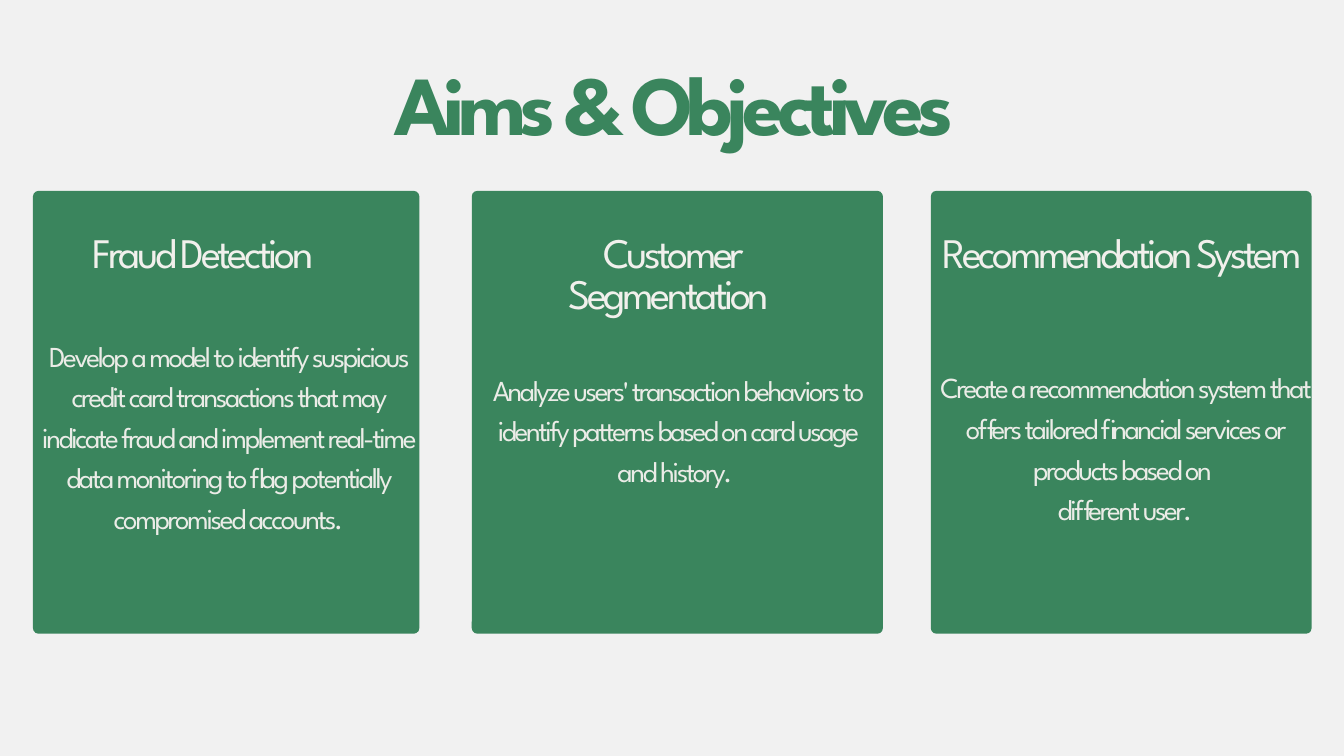
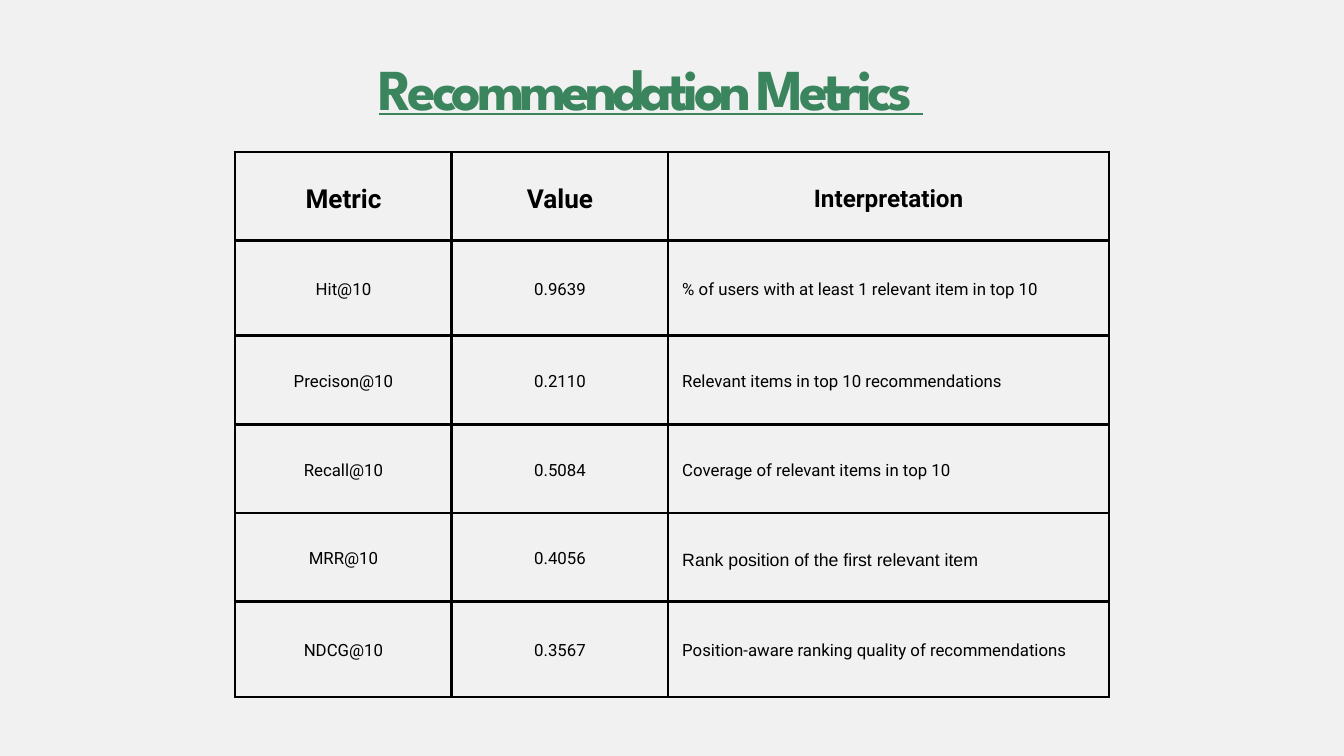
"""Build the aims and recommendation metrics slides."""
from dataclasses import dataclass

from lxml import etree
from pptx import Presentation
from pptx import util as u
from pptx.dml import color
from pptx.enum import shapes, text
from pptx.oxml import ns


@dataclass(frozen=True)
class Style:
    size: float
    ink: str
    leading: float
    tracking: float = 0
    font: str = "League Spartan"
    bold: bool = False
    underline: bool = False


@dataclass(frozen=True)
class Theme:
    paper: str = "F1F1F1"
    green: str = "3A855D"
    rule: str = "000000"
    rule_width: float = 3
    title: Style = Style(90, "3A855D", 86.4, -7.4, bold=True)
    subtitle: Style = Style(62, "3A855D", 59.5, -5.1, bold=True, underline=True)
    heading: Style = Style(45, "F1F0EC", 43.2, -3.7)
    body: Style = Style(31, "EBECE7", 43.4, -2.5)
    column: Style = Style(28, "000000", 39.2, font="Roboto", bold=True)
    wide_column: Style = Style(26, "000000", 36.4, font="Roboto", bold=True)
    cell: Style = Style(18, "000000", 25.2, font="Roboto")
    arial_cell: Style = Style(19, "000000", 26.6, font="Arial")


@dataclass(frozen=True)
class Area:
    left: float
    top: float
    width: float
    height: float

    def lengths(self) -> tuple:
        return tuple(u.Pt(side) for side in (self.left, self.top, self.width, self.height))


@dataclass(frozen=True)
class Card:
    left: float
    width: float
    heading: str
    heading_area: Area
    body: str
    body_area: Area
    heading_align: text.PP_ALIGN = text.PP_ALIGN.CENTER


THEME = Theme()
CARD_TOP, CARD_HEIGHT, CARD_RADIUS = 204.5, 474.5, 6
CELL_INSET = 15

CARDS = (
    Card(35.3, 414, "Fraud Detection", Area(99.5, 254, 289, 46),
         "Develop a model to identify suspicious credit card transactions that may "
         "indicate fraud and implement real-time data monitoring to flag potentially "
         "compromised accounts.",
         Area(43.3, 356.5, 402.5, 298), text.PP_ALIGN.LEFT),
    Card(505.5, 440.5, "Customer Segmentation ", Area(572.5, 254, 296, 88.5),
         "Analyze users' transaction behaviors to identify patterns based on card "
         "usage and history. ",
         Area(520.5, 392.5, 410.5, 168)),
    Card(997.3, 408, " Recommendation System ", Area(999.4, 254, 406, 88.5),
         "Create a recommendation system that offers tailored financial services or "
         "products based on \ndifferent user.",
         Area(1005.8, 390.3, 399, 170)),
)

COLUMN_WIDTHS = (232, 232, 472.5)
ROW_HEIGHTS = (95, 102, 95, 95, 95, 102)
METRICS = (
    ("Metric", "Value", "Interpretation"),
    ("Hit@10", "0.9639", "% of users with at least 1 relevant item in top 10"),
    ("Precison@10", "0.2110", "Relevant items in top 10 recommendations"),
    ("Recall@10", "0.5084", "Coverage of relevant items in top 10"),
    ("MRR@10", "0.4056", "Rank position of the first relevant item"),
    ("NDCG@10", "0.3567", "Position-aware ranking quality of recommendations"),
)
CELL_STYLES = {
    (0, 0): THEME.column,
    (0, 1): THEME.column,
    (0, 2): THEME.wide_column,
    (4, 2): THEME.arial_cell,
}


def rgb(code: str) -> color.RGBColor:
    return color.RGBColor.from_string(code)


def write(frame, words: str, style: Style, align=text.PP_ALIGN.CENTER) -> None:
    frame.text = words
    frame.word_wrap = True
    for para in frame.paragraphs:
        para.alignment = align
        para.line_spacing = u.Pt(style.leading)
        para.space_before = u.Pt(0)
        for span in para.runs:
            span.font.size = u.Pt(style.size)
            span.font.name = style.font
            span.font.bold = style.bold
            span.font.underline = style.underline
            span.font.color.rgb = rgb(style.ink)
            if style.tracking:
                span.font._element.set("spc", str(round(style.tracking * 100)))


def fit_box(box, words: str, style: Style, align=text.PP_ALIGN.CENTER) -> None:
    frame = box.text_frame
    frame.margin_left = frame.margin_right = frame.margin_top = frame.margin_bottom = 0
    frame.vertical_anchor = text.MSO_ANCHOR.TOP
    frame.auto_size = text.MSO_AUTO_SIZE.SHAPE_TO_FIT_TEXT
    write(frame, words, style, align)


def add_page(deck, words: str, area: Area, style: Style):
    page = deck.slides.add_slide(deck.slide_layouts.get_by_name("Title Only"))
    title = page.shapes.title
    title.left, title.top, title.width, title.height = area.lengths()
    fit_box(title, words, style)
    return page


def add_panel(page, card: Card) -> None:
    area = Area(card.left, CARD_TOP, card.width, CARD_HEIGHT)
    panel = page.shapes.add_shape(shapes.MSO_SHAPE.ROUNDED_RECTANGLE, *area.lengths())
    panel.adjustments[0] = CARD_RADIUS / min(card.width, CARD_HEIGHT)
    panel.shadow.inherit = False
    panel.fill.solid()
    panel.fill.fore_color.rgb = rgb(THEME.green)
    panel.line.fill.background()


def add_card(page, card: Card) -> None:
    add_panel(page, card)
    heading = page.shapes.add_textbox(*card.heading_area.lengths())
    fit_box(heading, card.heading, THEME.heading, card.heading_align)
    body = page.shapes.add_textbox(*card.body_area.lengths())
    fit_box(body, card.body, THEME.body)


def add_borders(cell) -> None:
    properties = cell._tc.get_or_add_tcPr()
    for side in ("a:lnL", "a:lnR", "a:lnT", "a:lnB"):
        line = etree.SubElement(properties, ns.qn(side), w=str(u.Pt(THEME.rule_width)))
        fill = etree.SubElement(line, ns.qn("a:solidFill"))
        etree.SubElement(fill, ns.qn("a:srgbClr"), val=THEME.rule)


def add_metrics_table(page, left: float, top: float) -> None:
    area = Area(left, top, sum(COLUMN_WIDTHS), sum(ROW_HEIGHTS))
    table = page.shapes.add_table(len(METRICS), len(COLUMN_WIDTHS), *area.lengths()).table
    table.first_row = table.horz_banding = False
    for column, width in zip(table.columns, COLUMN_WIDTHS):
        column.width = u.Pt(width)
    for row, height in zip(table.rows, ROW_HEIGHTS):
        row.height = u.Pt(height)
    for row_index, entries in enumerate(METRICS):
        for column_index, words in enumerate(entries):
            cell = table.cell(row_index, column_index)
            cell.margin_left = cell.margin_right = u.Pt(CELL_INSET)
            cell.margin_top = cell.margin_bottom = u.Pt(CELL_INSET)
            cell.vertical_anchor = text.MSO_ANCHOR.MIDDLE
            add_borders(cell)
            cell.fill.background()
            explains = row_index > 0 and column_index == 2
            align = text.PP_ALIGN.LEFT if explains else text.PP_ALIGN.CENTER
            style = CELL_STYLES.get((row_index, column_index), THEME.cell)
            write(cell.text_frame, words, style, align)


def main() -> None:
    deck = Presentation()
    deck.slide_width, deck.slide_height = u.Pt(1440), u.Pt(810)
    backdrop = deck.slide_master.background.fill
    backdrop.solid()
    backdrop.fore_color.rgb = rgb(THEME.paper)

    aims = add_page(deck, "Aims & Objectives", Area(353.5, 76.3, 737.5, 92), THEME.title)
    for card in CARDS:
        add_card(aims, card)

    metrics = add_page(deck, "Recommendation Metrics ", Area(99.4, 71.3, 1196, 63.4),
                       THEME.subtitle)
    add_metrics_table(metrics, 252, 162.7)
    deck.save("out.pptx")


if __name__ == "__main__":
    main()
